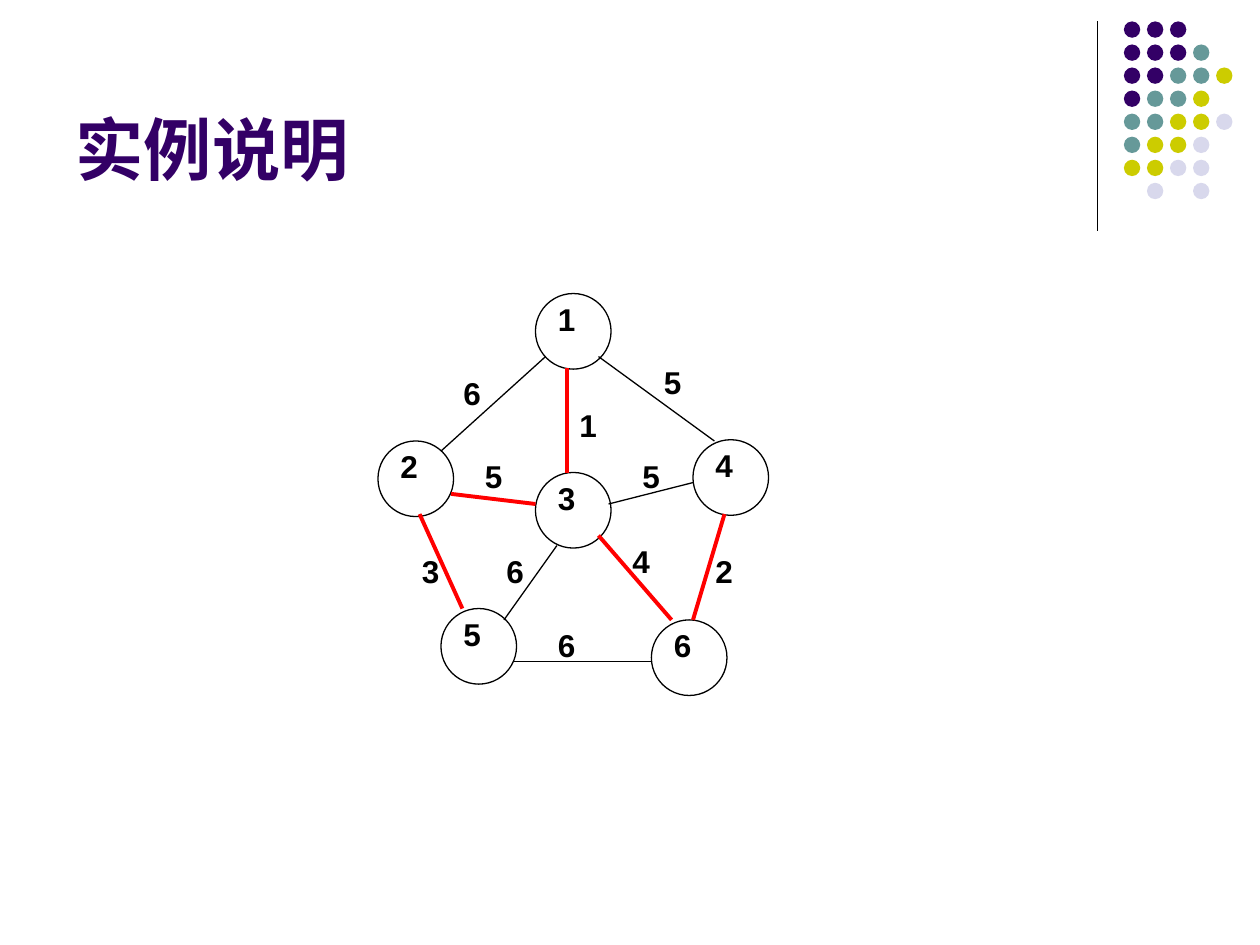
from lxml.etree import SubElement
from pptx import Presentation
from pptx.dml.color import RGBColor
from pptx.enum.shapes import MSO_CONNECTOR, MSO_SHAPE
from pptx.enum.text import MSO_ANCHOR, MSO_AUTO_SIZE, PP_ALIGN
from pptx.oxml.ns import qn
from pptx.util import Inches, Pt


def color(hex_string):
    return RGBColor.from_string(hex_string)


def add_part(shapes, kind, place, content, width=0.75):
    """Add a line, a circle or a bold number; content is its colour or text."""
    lengths = [Inches(value) for value in place]
    if kind == "line":
        part = shapes.add_connector(MSO_CONNECTOR.STRAIGHT, *lengths)
        part.line.color.rgb = color(content)
        part.line.width = Pt(width)
        SubElement(part._element.spPr, qn("a:effectLst"))
    elif kind == "circle":
        part = shapes.add_shape(MSO_SHAPE.OVAL, *lengths)
        part.shadow.inherit = False
        part.fill.solid()
        part.fill.fore_color.rgb = color(content)
        part.line.fill.background()
    else:
        part = shapes.add_textbox(*lengths)
        frame = part.text_frame
        frame.word_wrap = True
        frame.auto_size = MSO_AUTO_SIZE.SHAPE_TO_FIT_TEXT
        frame.text = content
        font = frame.paragraphs[0].runs[0].font
        font.name, font.size, font.bold = "Arial", Pt(18), True
        font.color.rgb = color("000000")
    return part


prs = Presentation()
prs.slide_width, prs.slide_height = Inches(10), Inches(7.5)
slide = prs.slides.add_slide(prs.slide_layouts[5])
shapes = slide.shapes

# Title
title = shapes.title
title.left, title.top = Inches(0.5), Inches(0.13)
title.width, title.height = Inches(8.25), Inches(1.42)
title.text_frame.text = "实例说明"
title.text_frame.vertical_anchor = MSO_ANCHOR.BOTTOM
title.text_frame.auto_size = MSO_AUTO_SIZE.NONE
heading = title.text_frame.paragraphs[0]
heading.alignment = PP_ALIGN.LEFT
heading_font = heading.runs[0].font
heading_font.name, heading_font.size, heading_font.bold = "Arial", Pt(39), True
heading_font.color.rgb = color("330066")

# Corner decoration: rule and dot grid
add_part(shapes, "line", (8.71, 0.17, 8.71, 1.83), "000000")
dot_colors = {"P": "330066", "T": "669999", "Y": "CCCC00", "L": "D8D8EC"}
dot_rows = ["PPP", "PPPT", "PPTTY", "PTTY", "TTYYL", "TYYL", "YYLL", " L L"]
dots = shapes.add_group_shape().shapes
for row, letters in enumerate(dot_rows):
    for column, letter in enumerate(letters):
        if letter in dot_colors:
            place = (8.92 + 0.183 * column, 0.17 + 0.183 * row, 0.13, 0.13)
            add_part(dots, "circle", place, dot_colors[letter])

# Graph nodes: number, left, top
nodes = [
    ("1", 4.25, 2.33), ("2", 3, 3.5), ("4", 5.5, 3.49),
    ("6", 5.17, 4.92), ("5", 3.5, 4.83), ("3", 4.25, 3.75),
]
for number, left, top in nodes:
    node = shapes.add_group_shape().shapes
    circle = add_part(node, "circle", (left, top, 0.6, 0.6), "FFFFFF")
    circle.line.color.rgb = color("000000")
    circle.line.width = Pt(0.75)
    add_part(node, "number", (left + 0.08, top, 0.48, 0.4), number)

# Graph edges: ends, weight, weight position, in the spanning tree or not
edges = [
    ((4.33, 2.83, 3.5, 3.58), "6", (3.58, 2.92), False),
    ((3.33, 4.08, 3.67, 4.83), "3", (3.25, 4.33), True),
    ((4.5, 2.92, 4.5, 3.75), "1", (4.5, 3.17), True),
    ((4.75, 2.83, 5.67, 3.5), "5", (5.17, 2.83), False),
    ((5.75, 4.08, 5.5, 4.92), "2", (5.58, 4.33), True),
    ((4.08, 5.25, 5.17, 5.25), "6", (4.33, 4.92), False),
    ((4.42, 4.33, 4, 4.92), "6", (3.92, 4.33), False),
    ((4.75, 4.25, 5.33, 4.92), "4", (4.92, 4.25), True),
    ((3.58, 3.92, 4.25, 4), "5", (3.75, 3.58), True),
    ((4.83, 4, 5.5, 3.83), "5", (5, 3.58), False),
]
for ends, weight, position, in_tree in edges:
    add_part(shapes, "line", ends, "FF0000" if in_tree else "000000",
             2.25 if in_tree else 0.75)
    add_part(shapes, "number", (*position, 0.33, 0.4), weight)

prs.save("out.pptx")
